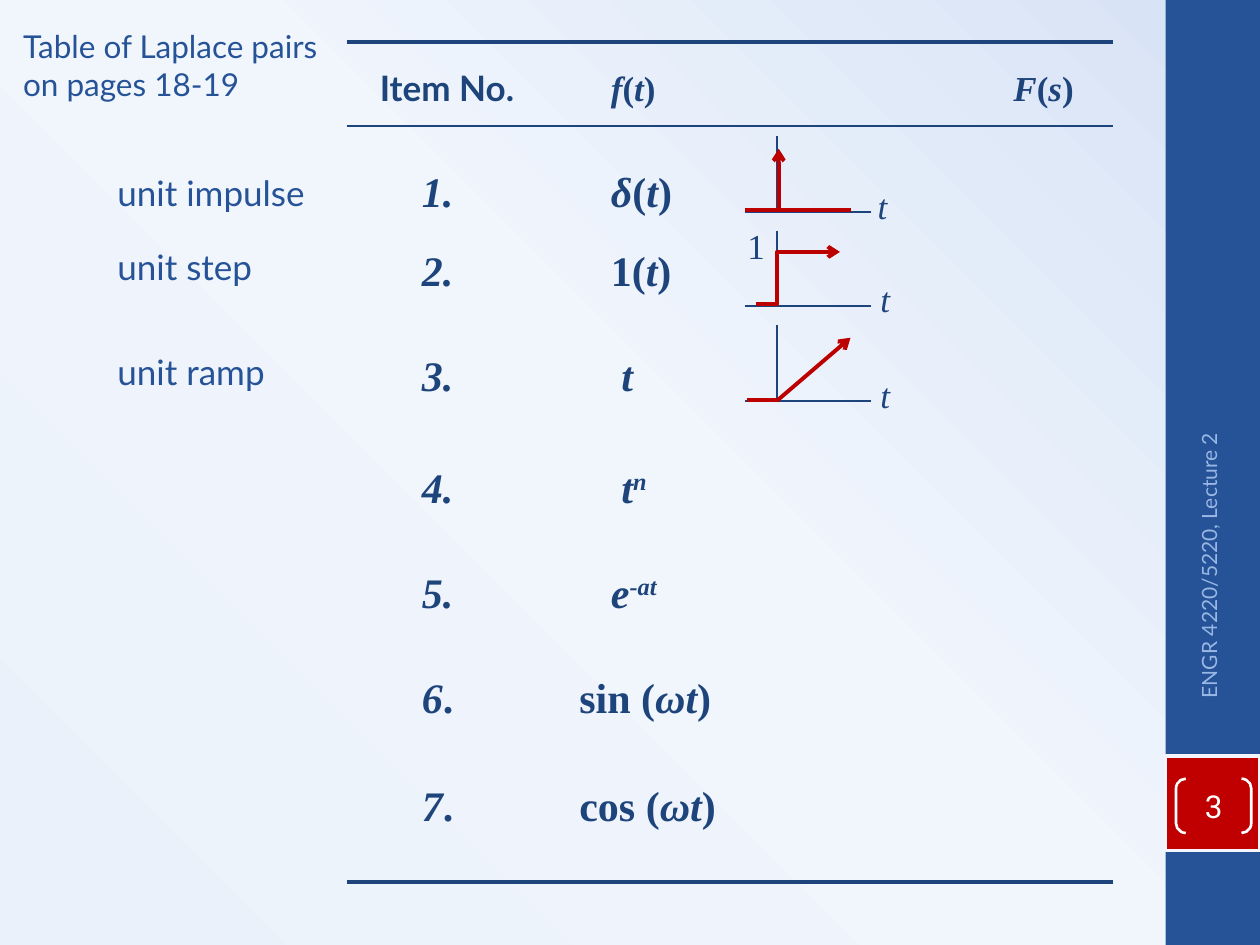
from lxml import etree
from pptx import Presentation
from pptx.dml.color import RGBColor
from pptx.enum.shapes import MSO_CONNECTOR as LINK, MSO_SHAPE as SHAPE
from pptx.enum.text import MSO_ANCHOR as ANCHOR, MSO_AUTO_SIZE as AUTO, PP_ALIGN as ALIGN
from pptx.oxml import parse_xml
from pptx.oxml.ns import nsdecls, qn
from pptx.util import Pt

NAVY, BLUE, RED, CRIMSON = "1E447C", "265397", "BC0000", "C00000"
PALE, WHITE, SKY = "F2F6FC", "FFFFFF", "98B7E5"
SANS, SERIF = "Lato", "Times New Roman"

BACKDROP = [(0, "EAF1FA"), (52, "F1F6FD"), (100, "D6E2F5")]
RULES = [(24, 2.25), (72, 1), (504, 2.25)]
HEADINGS = [
    ("Item No.", 210, 94, SANS),
    ("*f*(*t*)", 342, 40, SERIF),
    ("*F*(*s*)", 572, 49, SERIF),
]
PAIRS = [
    ("*1.*", "*δ*(*t*)", 91, 342, 50),
    ("*2.*", "1(*t*)", 136, 342, 50),
    ("*3.*", "*t*", 196, 348, 21),
    ("*4.*", "*t^n*", 260, 348, 30),
    ("*5.*", "*e^-at*", 320, 342, 43),
    ("*6*.", "sin (*ωt*)", 380, 324, 91),
    ("*7*.", "cos (*ωt*)", 442, 324, 94),
]
SIGNALS = [("unit impulse", 94.5), ("unit step", 137), ("unit ramp", 196.5)]

ORIGIN = 444
STRAIGHT, ELBOW = LINK.STRAIGHT, LINK.ELBOW
GRAPHS = [
    {"base": 175, "t": (496, 155), "one": (420, 124.5),
     "curve": [(ELBOW, (432, 174), (480, 144), True)]},
    {"base": 229, "t": (496, 210),
     "curve": [(STRAIGHT, (444, 229), (486, 193), True),
               (STRAIGHT, (427, 228.5), (445, 228.5), False)]},
    {"base": 121, "t": (494.5, 102),
     "curve": [(STRAIGHT, (445, 121), (445, 85), True),
               (STRAIGHT, (426, 120), (486, 120), False)]},
]


def rgb(color):
    return RGBColor.from_string(color)


def write(frame, markup, size=20, font=SERIF, color=NAVY, bold=False,
          align=ALIGN.LEFT, anchor=ANCHOR.TOP, wrap=False):
    frame.word_wrap = wrap
    frame.auto_size = AUTO.NONE
    frame.vertical_anchor = anchor
    paragraph = frame.paragraphs[0]
    paragraph.alignment = align
    for index, part in enumerate(markup.split("*")):
        normal, _, raised = part.partition("^")
        for text, baseline in ((normal, None), (raised, "30000")):
            if not text:
                continue
            run = paragraph.add_run()
            run.text = text
            run.font.size, run.font.name = Pt(size), font
            run.font.bold, run.font.italic = bold, index % 2 == 1
            run.font.color.rgb = rgb(color)
            if baseline:
                run.font._element.set("baseline", baseline)


def label(shapes, markup, x, y, width, size=20, **style):
    box = shapes.add_textbox(Pt(x), Pt(y), Pt(width), Pt(size * 1.2 + 7.2))
    write(box.text_frame, markup, size=size, **style)
    return box


def draw(shapes, start, end, color=NAVY, weight=1, kind=STRAIGHT, arrow=False):
    line = shapes.add_connector(kind, *map(Pt, start + end))
    line.line.color.rgb = rgb(color)
    line.line.width = Pt(weight)
    if arrow:
        tip = etree.SubElement(line.line._get_or_add_ln(), qn("a:tailEnd"))
        tip.set("type", "arrow")
    properties = line._element.spPr
    etree.SubElement(properties, qn("a:effectLst"))
    return properties


def panel(shapes, kind, x, y, width, height, fill=None, line=None, weight=1):
    shape = shapes.add_shape(kind, Pt(x), Pt(y), Pt(width), Pt(height))
    shape.shadow.inherit = False
    if fill:
        shape.fill.solid()
        shape.fill.fore_color.rgb = rgb(fill)
    else:
        shape.fill.background()
    if line:
        shape.line.color.rgb = rgb(line)
        shape.line.width = Pt(weight)
    else:
        shape.line.fill.background()
    return shape


def paint_background(slide):
    slide.background.fill.solid()
    solid = slide._element.find(".//" + qn("p:bgPr")).find(qn("a:solidFill"))
    stops = "".join(f'<a:gs pos="{pos * 1000}"><a:srgbClr val="{color}"/></a:gs>'
                    for pos, color in BACKDROP)
    solid.getparent().replace(solid, parse_xml(
        f'<a:gradFill {nsdecls("a")} rotWithShape="1"><a:gsLst>{stops}</a:gsLst>'
        '<a:path path="circle"><a:fillToRect l="0" t="100000" r="100000" b="0"/>'
        '</a:path></a:gradFill>'))


def draw_graph(slide, graph):
    shapes = slide.shapes.add_group_shape().shapes
    base = graph["base"]
    draw(shapes, (ORIGIN, base - 43), (ORIGIN, base - 1))
    draw(shapes, (ORIGIN + 54, base), (ORIGIN - 18, base))
    label(shapes, "*t*", *graph["t"], 20)
    for kind, start, end, arrow in graph["curve"]:
        properties = draw(shapes, start, end, RED, 2.25, kind, arrow)
        if kind == ELBOW:
            bend = etree.SubElement(properties.find(".//" + qn("a:avLst")), qn("a:gd"))
            bend.set("name", "adj1")
            share = (ORIGIN - start[0]) / (end[0] - start[0])
            bend.set("fmla", f"val {round(share * 100000)}")
    if "one" in graph:
        label(shapes, "1", *graph["one"], 24.5)


def main():
    deck = Presentation()
    deck.slide_width, deck.slide_height = Pt(720), Pt(540)
    slide = deck.slides.add_slide(deck.slide_layouts[5])
    shapes = slide.shapes
    paint_background(slide)

    title = shapes.title
    title.left, title.top, title.width, title.height = Pt(6), Pt(12), Pt(198), Pt(51)
    write(title.text_frame, "Table of Laplace pairs on pages 18-19",
          size=18, font=SANS, color=BLUE, wrap=True)

    panel(shapes, SHAPE.RECTANGLE, 666, 0, 54, 540, fill=BLUE)
    panel(shapes, SHAPE.RECTANGLE, 666, 432, 54, 54, fill=CRIMSON, line=PALE, weight=2)

    for y, weight in RULES:
        draw(shapes, (198, y), (636, y), weight=weight)
    for heading, x, width, font in HEADINGS:
        label(shapes, heading, x, 34.5, width, font=font, bold=True)
    for number, function, y, x, width in PAIRS:
        label(shapes, number, 234, y, 32.5, size=24, bold=True)
        label(shapes, function, x, y, width, size=24, bold=True)
    for signal, y in SIGNALS:
        label(shapes, signal, 60, y, 138, font=SANS, color=BLUE, wrap=True)
    for graph in GRAPHS:
        draw_graph(slide, graph)

    course = label(shapes, "ENGR 4220/5220, Lecture 2", 597.5, 319, 186.5, size=12,
                   font=SANS, color=SKY, align=ALIGN.RIGHT, anchor=ANCHOR.MIDDLE, wrap=True)
    course.height = Pt(29)
    course.rotation = 270

    page = panel(shapes, SHAPE.DOUBLE_BRACKET, 672, 445, 43, 31, line=WHITE, weight=1.5)
    page.adjustments[0] = 0.18
    frame = page.text_frame
    frame.margin_left = frame.margin_right = frame.margin_top = frame.margin_bottom = 0
    write(frame, "3", size=18, font="Roboto", color=WHITE,
          align=ALIGN.CENTER, anchor=ANCHOR.MIDDLE)

    deck.save("out.pptx")


if __name__ == "__main__":
    main()
